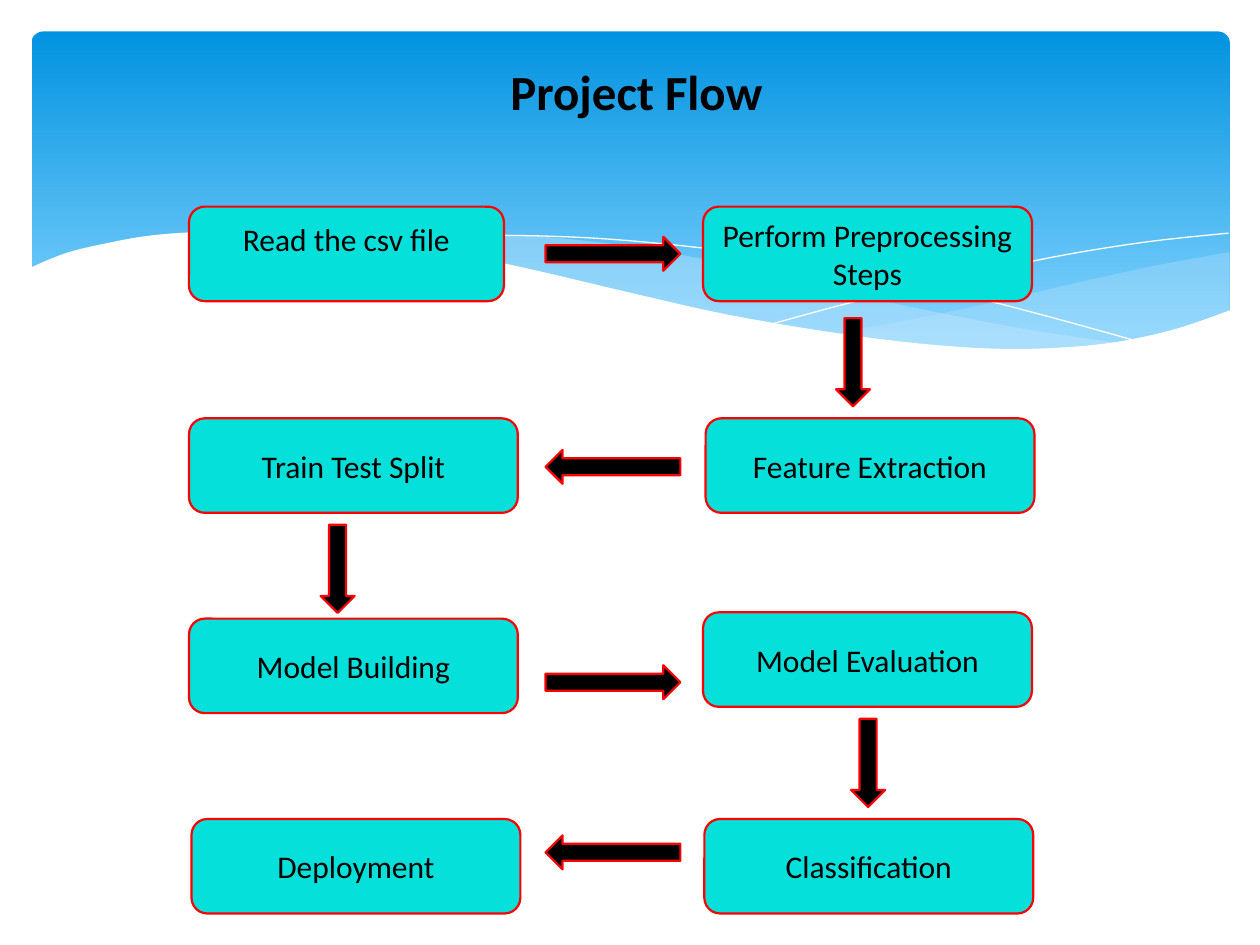
from lxml import etree
from pptx import Presentation
from pptx.dml.color import RGBColor
from pptx.enum.shapes import MSO_SHAPE
from pptx.enum.text import MSO_ANCHOR, PP_ALIGN
from pptx.oxml.ns import qn
from pptx.util import Inches, Pt

ROUNDED = MSO_SHAPE.ROUNDED_RECTANGLE
RIGHT, LEFT, DOWN = MSO_SHAPE.RIGHT_ARROW, MSO_SHAPE.LEFT_ARROW, MSO_SHAPE.DOWN_ARROW
TOP, MIDDLE = MSO_ANCHOR.TOP, MSO_ANCHOR.MIDDLE
CENTER = PP_ALIGN.CENTER

COLORS = {
    "sky": "0293E0", "horizon": "83D3FE", "mist": "C6E7FC", "white": "FFFFFF",
    "step": "05E0DB", "outline": "FF0000", "ink": "000000",
}
FONT = "Calibri"
COLUMNS, ROWS = 100, 75
CELL = Inches(0.1)
STEP_SIZE = (26.1, 7.5)
ARROW_LENGTH, DROP_LENGTH, ARROW_BREADTH = 10.7, 7, 2.7

# Each step: text, left column, top row
STEPS = [
    ("Perform Preprocessing Steps", 55.8, 16.4),
    ("Feature Extraction", 56, 33.2),
    ("Train Test Split", 15, 33.2),
    ("Model Building", 15, 49.1),
    ("Model Evaluation", 55.8, 48.6),
    ("Classification", 55.9, 65),
    ("Deployment", 15.2, 65),
]
# Each arrow: direction, left column, top row
ARROWS = [
    (RIGHT, 43.3, 18.8), (RIGHT, 43.3, 52.8),
    (LEFT, 43.3, 66.3), (LEFT, 43.3, 35.7),
    (DOWN, 66.35, 25.25), (DOWN, 25.45, 41.65), (DOWN, 67.55, 57.05),
]

# Knots of the wave edges, as (column, row)
RIGHT_MIST = [
    [(97.6, 20), (92.1, 21), (86.1, 22.3), (77.9, 24.2), (70.6, 25.7), (66.1, 26.5)],
    [(66.1, 26.5), (70.5, 27.1), (75.7, 27.6), (81.4, 27.8), (86.3, 27.5),
     (91.3, 26.7), (94.9, 25.7), (97.6, 24.7)],
]
MIDDLE_MIST = [
    [(89.3, 27.3), (80.7, 26), (70.6, 24), (62.9, 22.2), (55.5, 20.5), (48.9, 19.4),
     (42, 18.7), (36.1, 18.5), (31.3, 18.8), (28.6, 19.1)],
    [(28.6, 19.1), (36.2, 20.3), (44.9, 22.2), (53, 24), (60.1, 25.5), (68, 26.8),
     (74.8, 27.6), (80.7, 27.8), (85.7, 27.7), (89.3, 27.3)],
]
FALLING_LINE = [(30.9, 19.5), (34.4, 19), (38.7, 18.7), (45, 18.8), (51, 19.2),
                (58.2, 20), (66.5, 21.3), (76, 23.3), (83.1, 25.1), (90.7, 27.2)]
RISING_LINE = [(61.3, 25.7), (67.2, 24.1), (74.8, 22.3), (83.6, 20.4),
               (91, 19.2), (97.5, 18.5)]
FRONT_WAVE = [
    [(97.7, 24.6), (93, 26.2), (87.5, 27.3), (80.9, 27.7), (74.4, 27.4), (66.8, 26.5),
     (57.9, 25), (50.3, 23.3), (41.8, 21.3), (34, 19.7), (27.1, 18.8), (21.1, 18.4),
     (16.1, 18.4), (11.9, 18.7), (8.5, 19.3), (5.2, 20.1), (2.3, 21.3)],
    [(2.3, 32.9), (97.7, 32.9)],
]


def cells(*counts):
    return [round(count * CELL) for count in counts]


def paint(shape, fill=None, line=None, width=1.25):
    shape.shadow.inherit = False
    for part, color in ((shape.fill, fill), (shape.line.fill, line)):
        if color:
            part.solid()
            part.fore_color.rgb = RGBColor.from_string(COLORS[color])
        else:
            part.background()
    if line:
        shape.line.width = Pt(width)


def write(shape, text, size, bold=False, anchor=MIDDLE, top_inset=0.05):
    frame = shape.text_frame
    frame.word_wrap = True
    frame.vertical_anchor = anchor
    frame.margin_top = Inches(top_inset)
    paragraph = frame.paragraphs[0]
    paragraph.alignment = CENTER
    run = paragraph.add_run()
    run.text = text
    run.font.name, run.font.size, run.font.bold = FONT, Pt(size), bold
    run.font.color.rgb = RGBColor.from_string(COLORS["ink"])


def smooth(knots, pieces=5):
    """Return points on a Catmull-Rom curve through the knots."""
    padded = [knots[0], *knots, knots[-1]]
    points = [knots[0]]
    for a, b, c, d in zip(padded, padded[1:], padded[2:], padded[3:]):
        for piece in range(1, pieces + 1):
            t = piece / pieces
            points.append(tuple(
                (2 * q + (r - p) * t + (2 * p - 5 * q + 4 * r - s) * t ** 2
                 + (3 * q - p - 3 * r + s) * t ** 3) / 2
                for p, q, r, s in zip(a, b, c, d)))
    return points


def add_wave(slide, edges, closed=True):
    points = [cells(*point) for edge in edges for point in smooth(edge)]
    builder = slide.shapes.build_freeform(*points[0], scale=1.0)
    builder.add_line_segments(points[1:], close=closed)
    return builder.convert_to_shape()


def add_mist(slide, edges, opacity):
    wave = add_wave(slide, edges)
    paint(wave, "mist")
    color = wave.fill._xPr.find(qn("a:solidFill"))[0]
    etree.SubElement(color, qn("a:alpha"), val=str(opacity * 1000))


def add_sky(slide, left, top, width, height):
    sky = slide.shapes.add_shape(ROUNDED, *cells(left, top, width, height))
    sky.adjustments[0] = 0.034
    paint(sky)
    sky.fill.gradient()
    sky.fill.gradient_angle = 270
    for stop, color, position in zip(sky.fill.gradient_stops, ("sky", "horizon"), (0, 0.9)):
        stop.color.rgb = RGBColor.from_string(COLORS[color])
        stop.position = position


def add_waves(slide):
    add_mist(slide, RIGHT_MIST, 29)
    add_mist(slide, MIDDLE_MIST, 40)
    for knots in (FALLING_LINE, RISING_LINE):
        paint(add_wave(slide, [knots], closed=False), line="white", width=0)
    paint(add_wave(slide, FRONT_WAVE), "white")


def add_title(slide, left, top, width, height):
    title = slide.shapes.add_textbox(*cells(left, top, width, height))
    write(title, "Project Flow", 28, bold=True, anchor=TOP, top_inset=0.07)


def add_step(slide, text, left, top, width, height, **text_options):
    step = slide.shapes.add_shape(ROUNDED, *cells(left, top, width, height))
    paint(step, "step", "outline")
    write(step, text, 18, **text_options)


def add_arrow(slide, direction, left, top):
    size = (ARROW_BREADTH, DROP_LENGTH) if direction == DOWN else (ARROW_LENGTH, ARROW_BREADTH)
    arrow = slide.shapes.add_shape(direction, *cells(left, top, *size))
    paint(arrow, "ink", "outline")


def add_flow(slide):
    for text, left, top in STEPS:
        add_step(slide, text, left, top, *STEP_SIZE)
    for direction, left, top in ARROWS:
        add_arrow(slide, direction, left, top)


def main():
    presentation = Presentation()
    presentation.slide_width, presentation.slide_height = cells(COLUMNS, ROWS)
    slide = presentation.slides.add_slide(presentation.slide_layouts[6])
    add_sky(slide, 2.5, 2.5, 95.1, 27)
    add_waves(slide)
    add_step(slide, "Read the csv file", 15, 16.4, 25, 7.5, anchor=TOP, top_inset=0.07)
    add_title(slide, 5.5, 4.2, 90, 10.8)
    add_flow(slide)
    presentation.save("out.pptx")


if __name__ == "__main__":
    main()
